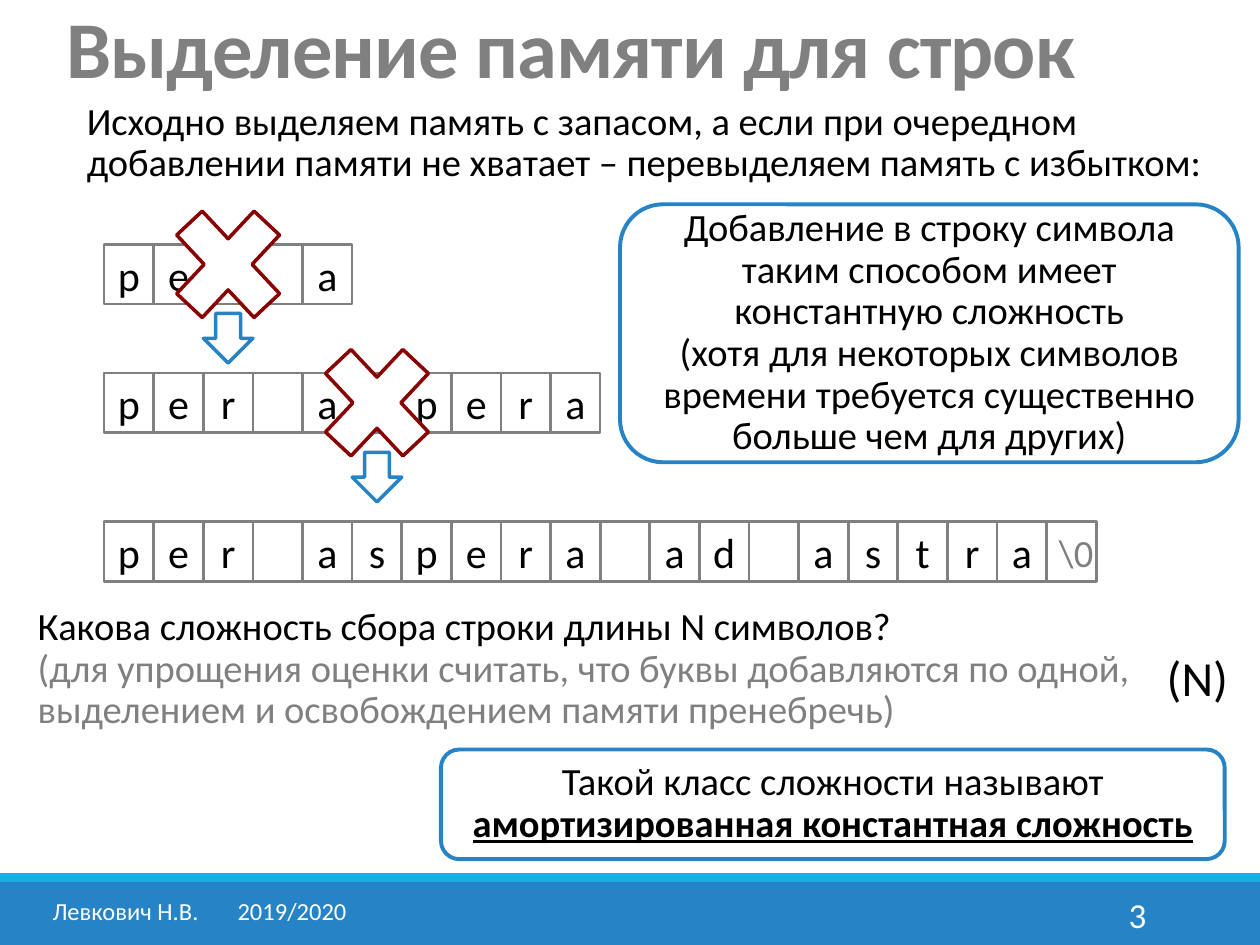
import pptx
import pptx.util
import pptx.dml.color
import pptx.enum.shapes
import pptx.enum.text
import pptx.oxml.ns
import lxml.etree

Cm, Pt = pptx.util.Cm, pptx.util.Pt
RGBColor = pptx.dml.color.RGBColor
SHAPE = pptx.enum.shapes.MSO_SHAPE
ALIGN = pptx.enum.text.PP_ALIGN
ANCHOR = pptx.enum.text.MSO_ANCHOR

BLACK = RGBColor(0x00, 0x00, 0x00)
WHITE = RGBColor(0xFF, 0xFF, 0xFF)
GRAY = RGBColor(0x80, 0x80, 0x80)
BLUE = RGBColor(0x26, 0x83, 0xC6)
LIGHT_BLUE = RGBColor(0x1C, 0xAD, 0xE4)
DARK_RED = RGBColor(0x88, 0x00, 0x00)

FONT = "Calibri"
BREAK = "\n"
TERMINATOR = "\\0"

# Paragraphs are lists of runs: (text, size, colour) plus optional font settings
TITLE = [[("Выделение памяти для строк", 46, GRAY, {"bold": True})]]
INTRO = [[("Исходно выделяем память с запасом, а если при очередном добавлении "
           "памяти не хватает – перевыделяем память с избытком:", 22, BLACK)]]
QUESTION = [
    [("Какова сложность сбора строки длины N символов?", 22, BLACK), BREAK,
     ("(для упрощения оценки считать, что буквы добавляются по одной,", 22, GRAY)],
    [("выделением и освобождением памяти пренебречь)", 22, GRAY)],
]
ANSWER = [[("(N)", 28, BLACK)]]
FOOTER = [[("Левкович Н.В.\t2019/2020", 14, WHITE)]]
PAGE_NUMBER = [[("3", 20, WHITE)]]

# Callout boxes: (left, top, width, height), paragraphs
CALLOUTS = [
    ((12.5, 4.12, 12.47, 5.2),
     [[("Добавление в строку символа таким способом имеет константную сложность",
        22, BLACK), BREAK,
       ("(хотя для некоторых символов времени требуется существенно "
        "больше чем для других)", 22, BLACK)]]),
    ((8.89, 15.11, 15.8, 2.21),
     [[("Такой класс сложности называют", 22, BLACK), BREAK,
       ("амортизированная константная сложность", 22, BLACK,
        {"bold": True, "underline": True})]]),
]

# Memory buffers: top of the row, its cells
BUFFERS = [
    (4.93, list("per a")),
    (7.52, list("per aspera")),
    (10.52, list("per aspera ad astra") + [TERMINATOR]),
]
# Released buffers: first column and top of the cross; the arrow is one column on
RELEASES = [(1, 3.73, 6.32), (4, 6.52, 9.12)]

CELL_LEFT, CELL_WIDTH, CELL_HEIGHT = 2.1, 1, 1.2
CROSS_WIDTH, CROSS_HEIGHT = 3, 3.2
ARROW_SIZE = 1


def write(shape, paragraphs, align=ALIGN.LEFT, anchor=ANCHOR.TOP,
          line_spacing=None, margins=None):
    """Fill the text frame; margins are left, top, right, bottom in cm."""
    frame = shape.text_frame
    frame.word_wrap = True
    frame.vertical_anchor = anchor
    if margins:
        (frame.margin_left, frame.margin_top,
         frame.margin_right, frame.margin_bottom) = map(Cm, margins)
    for index, runs in enumerate(paragraphs):
        paragraph = frame.add_paragraph() if index else frame.paragraphs[0]
        paragraph.alignment = align
        paragraph.line_spacing = line_spacing
        for item in runs:
            if item == BREAK:
                paragraph.add_line_break()
                continue
            text, size, color, *settings = item
            run = paragraph.add_run()
            run.text = text
            run.font.name = FONT
            run.font.size = Pt(size)
            run.font.color.rgb = color
            for name, value in (settings[0] if settings else {}).items():
                setattr(run.font, name, value)
    return frame.paragraphs[0]


def add_text(slide, box, paragraphs, **layout):
    return write(slide.shapes.add_textbox(*map(Cm, box)), paragraphs, **layout)


def add_shape(slide, kind, box, fill=None, line=None, line_width=2):
    shape = slide.shapes.add_shape(kind, *map(Cm, box))
    shape.shadow.inherit = False
    if fill is None:
        shape.fill.background()
    else:
        shape.fill.solid()
        shape.fill.fore_color.rgb = fill
    if line is None:
        shape.line.fill.background()
    else:
        shape.line.color.rgb = line
        shape.line.width = Pt(line_width)
    return shape


def column_left(column):
    return CELL_LEFT + column * CELL_WIDTH


def add_buffer(slide, top, cells):
    for column, symbol in enumerate(cells):
        box = (column_left(column), top, CELL_WIDTH, CELL_HEIGHT)
        cell = add_shape(slide, SHAPE.RECTANGLE, box, WHITE, GRAY, 1.5)
        if symbol == TERMINATOR:
            write(cell, [[(symbol, 22, GRAY)]], ALIGN.CENTER, ANCHOR.MIDDLE,
                  margins=(0.19, 0, 0, 0))
        elif symbol != " ":
            write(cell, [[(symbol, 24, BLACK)]], ALIGN.CENTER, ANCHOR.MIDDLE,
                  margins=(0.1,) * 4)


def add_release(slide, column, cross_top, arrow_top):
    """Cross over a released buffer and an arrow to the next one."""
    add_shape(slide, SHAPE.DOWN_ARROW,
              (column_left(column + 1), arrow_top, ARROW_SIZE, ARROW_SIZE),
              line=BLUE)
    add_shape(slide, SHAPE.MATH_MULTIPLY,
              (column_left(column), cross_top, CROSS_WIDTH, CROSS_HEIGHT),
              WHITE, DARK_RED)


def add_tab_stop(paragraph, position):
    properties = paragraph._p.get_or_add_pPr()
    tabs = lxml.etree.SubElement(properties, pptx.oxml.ns.qn("a:tabLst"))
    lxml.etree.SubElement(tabs, pptx.oxml.ns.qn("a:tab"),
                          pos=str(Cm(position)), algn="l")


def main():
    presentation = pptx.Presentation()
    presentation.slide_width, presentation.slide_height = Cm(25.4), Cm(19.05)
    slide = presentation.slides.add_slide(presentation.slide_layouts[6])

    add_shape(slide, SHAPE.RECTANGLE, (0, 17.78, 25.4, 1.27), BLUE)
    add_shape(slide, SHAPE.RECTANGLE, (0, 17.6, 25.4, 0.18), LIGHT_BLUE)
    add_text(slide, (20.62, 17.93, 2.74, 1.02), PAGE_NUMBER,
             align=ALIGN.RIGHT, anchor=ANCHOR.MIDDLE)
    footer = add_text(slide, (0.81, 17.93, 6.63, 1.02), FOOTER)
    add_tab_stop(footer, 3.73)

    title = add_text(slide, (1.09, -0.48, 23.6, 2.51), TITLE,
                     anchor=ANCHOR.BOTTOM, line_spacing=0.85)
    title.runs[0].font._element.set("spc", "-50")
    intro = add_text(slide, (1.5, 1.93, 23.19, 1.96), INTRO, line_spacing=0.9)
    intro.space_before = Pt(6)
    add_text(slide, (0.51, 12.12, 24, 2.79), QUESTION, line_spacing=0.9)
    add_text(slide, (23.27, 12.93, 2.11, 1.45), ANSWER)

    for top, cells in BUFFERS:
        add_buffer(slide, top, cells)
    for release in RELEASES:
        add_release(slide, *release)
    for box, paragraphs in CALLOUTS:
        callout = add_shape(slide, SHAPE.ROUNDED_RECTANGLE, box, WHITE, BLUE, 2.25)
        write(callout, paragraphs, ALIGN.CENTER, ANCHOR.MIDDLE, line_spacing=0.9)

    presentation.save("out.pptx")


if __name__ == "__main__":
    main()
